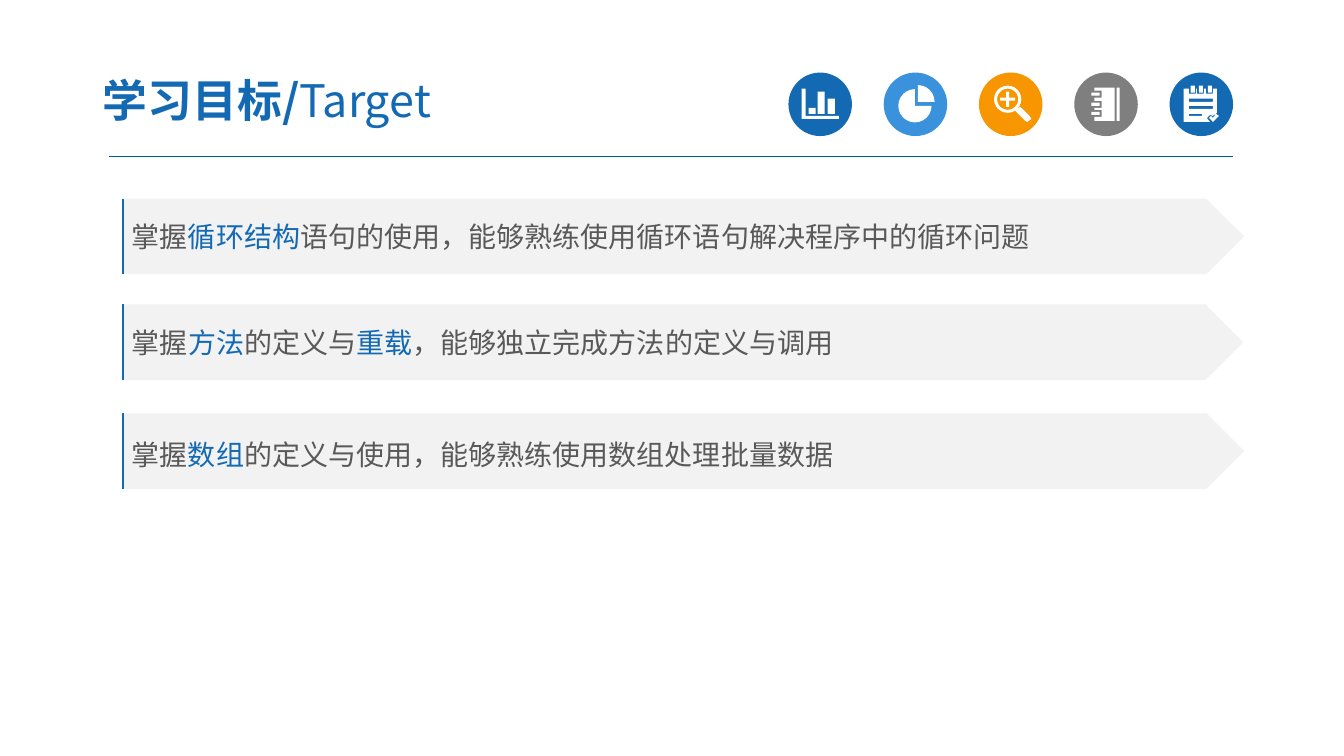
from math import cos, radians, sin

from lxml.etree import SubElement
from pptx import Presentation
from pptx.dml.color import RGBColor
from pptx.enum.shapes import MSO_CONNECTOR, MSO_SHAPE
from pptx.enum.text import MSO_ANCHOR, PP_ALIGN
from pptx.oxml.ns import qn
from pptx.util import Inches, Pt

FONT = "Noto Sans CJK SC"
BLUE, SKY, ORANGE, GREY = "1369B2", "3992DB", "F79600", "7F7F7F"
WHITE, PALE, TEXT, RULE = "FFFFFF", "F2F2F2", "595959", "005B9E"

deck = Presentation()
deck.slide_width, deck.slide_height = Inches(13.33), Inches(7.5)
slide = deck.slides.add_slide(deck.slide_layouts[6])


def fill_flat(shape, color):
    """Give the shape one plain colour, with no shadow and no outline."""
    shape.shadow.inherit = False
    shape.fill.solid()
    shape.fill.fore_color.rgb = RGBColor.from_string(color)
    shape.line.fill.background()


def add_runs(paragraph, pieces):
    """Append (text, colour, font format) pieces in the slide's typeface."""
    for text, color, style in pieces:
        run = paragraph.add_run()
        run.text = text
        for key, value in {"name": FONT, **style}.items():
            setattr(run.font, key, value)
        run.font.color.rgb = RGBColor.from_string(color)
        SubElement(run.font._element, qn("a:ea")).set("typeface", FONT)


# Header rule and the accent at the left of each goal
goal_tops = (1.97, 3.02, 4.1)
rules = [(1.08, 1.55, 12.23, 1.55, RULE, 0.75)]
rules += [(1.22, top + 0.75, 1.22, top, BLUE, 1.5) for top in goal_tops]

# Icon contours, measured from the disc's corner:
# box (left, top, width, height), arc (x, y, radius, from, to), path (points)
bars = [
    ("box", 0.2, 0.35, 0.07, 0.06),
    ("box", 0.29, 0.19, 0.07, 0.22),
    ("box", 0.39, 0.26, 0.07, 0.15),
    ("path", (0.13, 0.16), (0.17, 0.16), (0.17, 0.43), (0.5, 0.43), (0.5, 0.46), (0.13, 0.46)),
]
pie = [
    ("arc", 0.31, 0.33, 0.165, 0, 270, (0.31, 0.33)),
    ("arc", 0.34, 0.29, 0.165, 270, 360, (0.34, 0.29)),
]
magnifier = [
    ("arc", 0.285, 0.265, 0.135, 0, 345),
    ("arc", 0.285, 0.265, 0.105, 0, 345),
    ("path", (0.36, 0.38), (0.41, 0.34), (0.5, 0.43), (0.52, 0.46), (0.48, 0.49), (0.46, 0.48)),
    ("path", (0.27, 0.19), (0.3, 0.19), (0.3, 0.25), (0.36, 0.25), (0.36, 0.28), (0.3, 0.28),
     (0.3, 0.34), (0.27, 0.34), (0.27, 0.28), (0.21, 0.28), (0.21, 0.25), (0.27, 0.25)),
]
cover = [(0.2, 0.15), (0.4, 0.15), (0.4, 0.48), (0.2, 0.48)]
notebook = [("box", 0.42, 0.15, 0.03, 0.33)]
for notch in (0.37, 0.28, 0.18):
    cover += [(0.2, notch + 0.07), (0.27, notch + 0.07), (0.27, notch), (0.2, notch)]
    notebook.append(("box", 0.17, notch + 0.02, 0.08, 0.03))
notebook.append(("path", *cover))

sheet = [(0.14, 0.49), (0.14, 0.16)]
checklist = [
    ("box", 0.19, 0.26, 0.24, 0.03),
    ("box", 0.19, 0.33, 0.24, 0.03),
    ("box", 0.19, 0.41, 0.13, 0.02),
    ("path", (0.39, 0.45), (0.41, 0.43), (0.43, 0.45), (0.46, 0.41), (0.49, 0.43), (0.43, 0.49)),
]
for notch in (0.19, 0.27, 0.36):
    sheet += [(notch, 0.16), (notch, 0.21), (notch + 0.07, 0.21), (notch + 0.07, 0.16)]
    checklist.append(("box", notch + 0.02, 0.13, 0.04, 0.07))
sheet += [(0.47, 0.16), (0.47, 0.4), (0.43, 0.43), (0.4, 0.42), (0.37, 0.45), (0.4, 0.49)]
checklist.append(("path", *sheet))

icons = [(BLUE, bars), (SKY, pie), (ORANGE, magnifier), (GREY, notebook), (BLUE, checklist)]
for index, (disc_color, contours) in enumerate(icons):
    icon_left, icon_top = 7.82 + 0.945 * index, 0.72
    disc = slide.shapes.add_shape(
        MSO_SHAPE.OVAL, Inches(icon_left), Inches(icon_top), Inches(0.63), Inches(0.63))
    fill_flat(disc, disc_color)
    glyph = None
    for kind, *values in contours:
        points = values
        if kind == "box":
            x, y, width, height = values
            points = [(x, y), (x + width, y), (x + width, y + height), (x, y + height)]
        elif kind == "arc":
            x, y, radius, first, last, *center = values
            points = center + [
                (x + radius * cos(radians(angle)), y + radius * sin(radians(angle)))
                for angle in range(first, last + 1, 15)]
        points = [(Inches(icon_left + x), Inches(icon_top + y)) for x, y in points]
        if glyph is None:
            glyph = slide.shapes.build_freeform(*points[0])
        else:
            glyph.move_to(*points[0])
        glyph.add_line_segments(points[1:], close=True)
    fill_flat(glyph.convert_to_shape(), WHITE)

# Title
title = slide.shapes.add_textbox(Inches(0.89), Inches(0.63), Inches(5.22), Inches(0.72)).text_frame
for key, value in {
    "word_wrap": True, "vertical_anchor": MSO_ANCHOR.MIDDLE,
    "margin_left": Inches(0.13), "margin_right": Inches(0.13),
    "margin_top": Inches(0.07), "margin_bottom": Inches(0.07),
}.items():
    setattr(title, key, value)
add_runs(title.paragraphs[0], [
    ("学习目标/", BLUE, {"size": Pt(32), "bold": True}),
    ("Target", BLUE, {"size": Pt(32), "bold": False}),
])

# Goals: banner width, line spacing, (text, colour) pieces
goals = [
    (11.13, 1.0, [("掌握", TEXT), ("循环结构", BLUE),
                  ("语句的使用，能够熟练使用循环语句解决程序中的循环问题", TEXT)]),
    (11.12, 1.0, [("掌握", TEXT), ("方法", BLUE), ("的定义与", TEXT), ("重载", BLUE),
                  ("，能够独立完成方法的定义与调用", TEXT)]),
    (11.13, 1.2, [("掌握", TEXT), ("数组", BLUE),
                  ("的定义与使用，能够熟练使用数组处理批量数据", TEXT)]),
]
for top, (width, spacing, pieces) in zip(goal_tops, goals):
    banner = slide.shapes.add_shape(
        MSO_SHAPE.PENTAGON, Inches(1.21), Inches(top), Inches(width), Inches(0.75))
    fill_flat(banner, PALE)
    banner.text_frame.word_wrap = True
    banner.text_frame.vertical_anchor = MSO_ANCHOR.MIDDLE
    goal = banner.text_frame.paragraphs[0]
    goal.alignment = PP_ALIGN.LEFT
    goal.line_spacing = spacing
    add_runs(goal, [(text, color, {"size": Pt(20)}) for text, color in pieces])

for x1, y1, x2, y2, color, weight in rules:
    rule = slide.shapes.add_connector(
        MSO_CONNECTOR.STRAIGHT, Inches(x1), Inches(y1), Inches(x2), Inches(y2))
    rule.line.color.rgb = RGBColor.from_string(color)
    rule.line.width = Pt(weight)
    SubElement(rule._element.spPr, qn("a:effectLst"))

deck.save("out.pptx")
